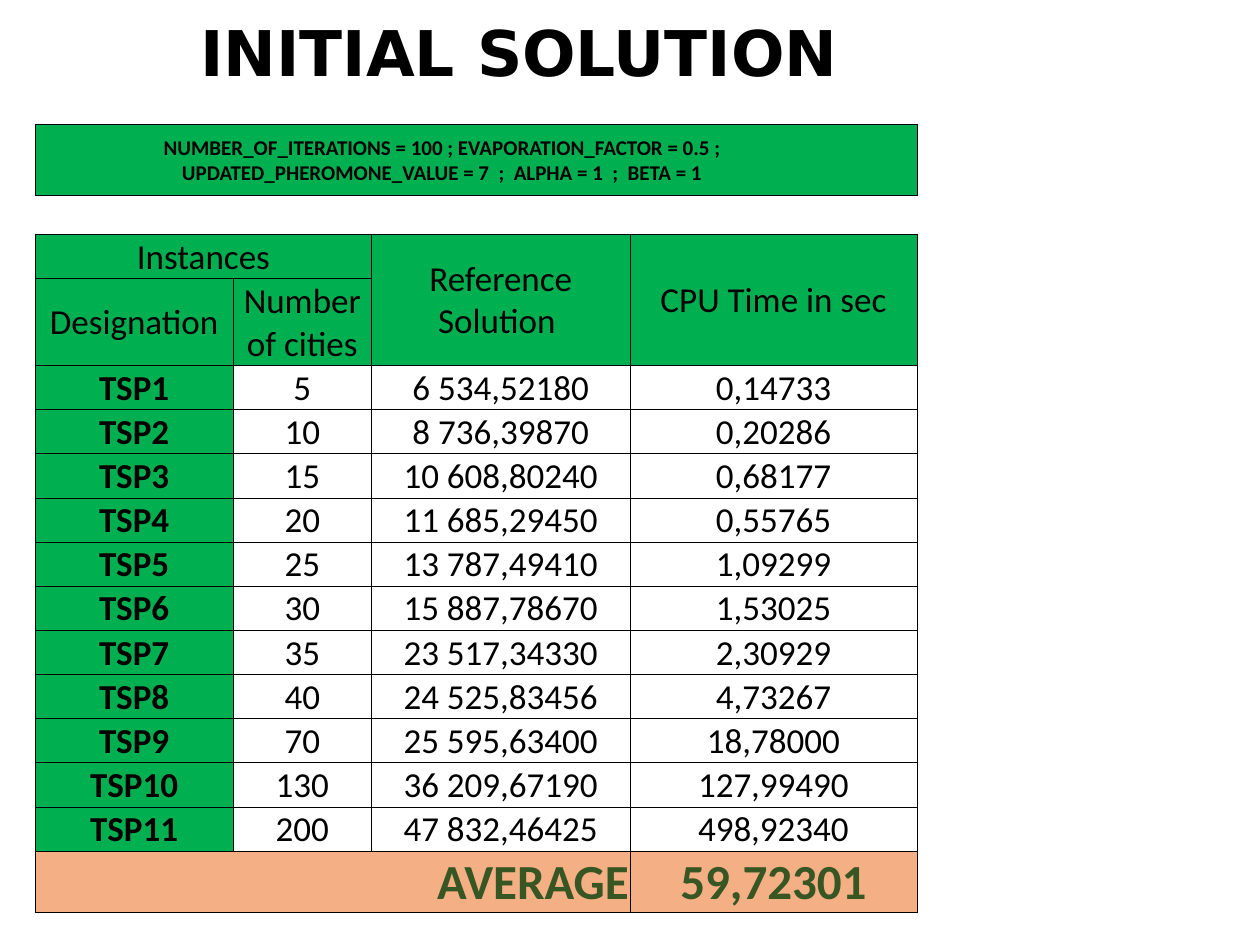
from lxml import etree
from pptx import Presentation
from pptx import util as u
from pptx.dml.color import RGBColor
from pptx.enum import text
from pptx.oxml.ns import qn

COLORS = {
    "ink": "000000",
    "header": "00B050",
    "average": "F4B084",
    "average_text": "375623",
}
FONT = "Calibri"
LEFT, WIDTH = 0.28, 7.0
COLUMN_WIDTHS = [1.57, 1.1, 2.05, 2.28]
ROW_HEIGHTS = [0.35, 0.63] + [0.35] * 11 + [0.42]
PARAMETERS = [
    "NUMBER_OF_ITERATIONS = 100 ; EVAPORATION_FACTOR = 0.5 ;",
    "UPDATED_PHEROMONE_VALUE = 7  ;  ALPHA = 1  ;  BETA = 1",
]
RESULTS = [
    ("5", "6 534,52180", "0,14733"),
    ("10", "8 736,39870", "0,20286"),
    ("15", "10 608,80240", "0,68177"),
    ("20", "11 685,29450", "0,55765"),
    ("25", "13 787,49410", "1,09299"),
    ("30", "15 887,78670", "1,53025"),
    ("35", "23 517,34330", "2,30929"),
    ("40", "24 525,83456", "4,73267"),
    ("70", "25 595,63400", "18,78000"),
    ("130", "36 209,67190", "127,99490"),
    ("200", "47 832,46425", "498,92340"),
]


def color(name):
    return RGBColor.from_string(COLORS[name])


def add_run(paragraph, words, size, bold=False, ink="ink", font=FONT):
    run = paragraph.add_run()
    run.text = words
    run.font.name = font
    run.font.size = u.Pt(size)
    run.font.bold = bold
    run.font.color.rgb = color(ink)


def style_cell(cell, fill=None):
    cell.margin_left = cell.margin_right = cell.margin_top = u.Inches(0.01)
    cell.margin_bottom = 0
    cell.vertical_anchor = text.MSO_ANCHOR.MIDDLE
    properties = cell._tc.get_or_add_tcPr()
    for side in ("a:lnL", "a:lnR", "a:lnT", "a:lnB"):
        line = etree.SubElement(properties, qn(side), w=str(u.Pt(0.5)))
        solid = etree.SubElement(line, qn("a:solidFill"))
        etree.SubElement(solid, qn("a:srgbClr"), val=COLORS["ink"])
    if fill:
        cell.fill.solid()
        cell.fill.fore_color.rgb = color(fill)
    else:
        cell.fill.background()


def write_cell(cell, words, size=20, bold=False, ink="ink",
               align=text.PP_ALIGN.CENTER):
    paragraph = cell.text_frame.paragraphs[0]
    paragraph.alignment = align
    add_run(paragraph, words, size, bold, ink)


def add_grid(slide, left, top, column_widths, row_heights):
    table = slide.shapes.add_table(
        len(row_heights), len(column_widths), u.Inches(left), u.Inches(top),
        u.Inches(sum(column_widths)), u.Inches(sum(row_heights))).table
    table.first_row = table.horz_banding = False
    for column, width in zip(table.columns, column_widths):
        column.width = u.Inches(width)
    for row, height in zip(table.rows, row_heights):
        row.height = u.Inches(height)
    return table


def place_title(slide, left, top, width, height):
    title = slide.shapes.title
    title.left, title.top = u.Inches(left), u.Inches(top)
    title.width, title.height = u.Inches(width), u.Inches(height)
    frame = title.text_frame
    frame.vertical_anchor = text.MSO_ANCHOR.MIDDLE
    frame.word_wrap = True
    paragraph = frame.paragraphs[0]
    paragraph.alignment = text.PP_ALIGN.CENTER
    add_run(paragraph, "INITIAL SOLUTION", 36, True, font="DejaVu Sans")


def add_parameters(slide, left, top, width, height):
    cell = add_grid(slide, left, top, [width], [height]).cell(0, 0)
    style_cell(cell, "header")
    write_cell(cell, PARAMETERS[0], 12, True)
    first = cell.text_frame.paragraphs[0]
    first._p.get_or_add_pPr().set("marR", str(u.Inches(0.54)))
    second = cell.text_frame.add_paragraph()
    second.alignment = text.PP_ALIGN.CENTER
    add_run(second, PARAMETERS[1], 12, True)


def add_results(slide, left, top):
    table = add_grid(slide, left, top, COLUMN_WIDTHS, ROW_HEIGHTS)
    last = len(ROW_HEIGHTS) - 1
    for row in range(last + 1):
        for column in range(len(COLUMN_WIDTHS)):
            fill = "header" if row < 2 or column == 0 else None
            style_cell(table.cell(row, column),
                       "average" if row == last else fill)

    for start, end in [((0, 0), (0, 1)), ((0, 2), (1, 2)),
                       ((0, 3), (1, 3)), ((last, 0), (last, 2))]:
        table.cell(*start).merge(table.cell(*end))

    headings = {
        (0, 0): "Instances",
        (0, 2): "Reference Solution ",
        (0, 3): "CPU Time in sec",
        (1, 0): "Designation",
        (1, 1): "Number of cities",
    }
    for position, words in headings.items():
        write_cell(table.cell(*position), words)
    for number, values in enumerate(RESULTS, 1):
        write_cell(table.cell(number + 1, 0), f"TSP{number}", bold=True)
        for column, value in enumerate(values, 1):
            write_cell(table.cell(number + 1, column), value)
    write_cell(table.cell(last, 0), "AVERAGE", 28, True, "average_text",
               text.PP_ALIGN.RIGHT)
    write_cell(table.cell(last, 3), "59,72301", 28, True, "average_text")


def main():
    presentation = Presentation()
    presentation.slide_width = u.Inches(10)
    presentation.slide_height = u.Inches(7.5)
    slide = presentation.slides.add_slide(presentation.slide_layouts[5])
    place_title(slide, 0.41, 0.13, 7.42, 0.56)
    add_parameters(slide, LEFT, 0.99, WIDTH, 0.56)
    add_results(slide, LEFT, 1.86)
    presentation.save("out.pptx")


if __name__ == "__main__":
    main()
